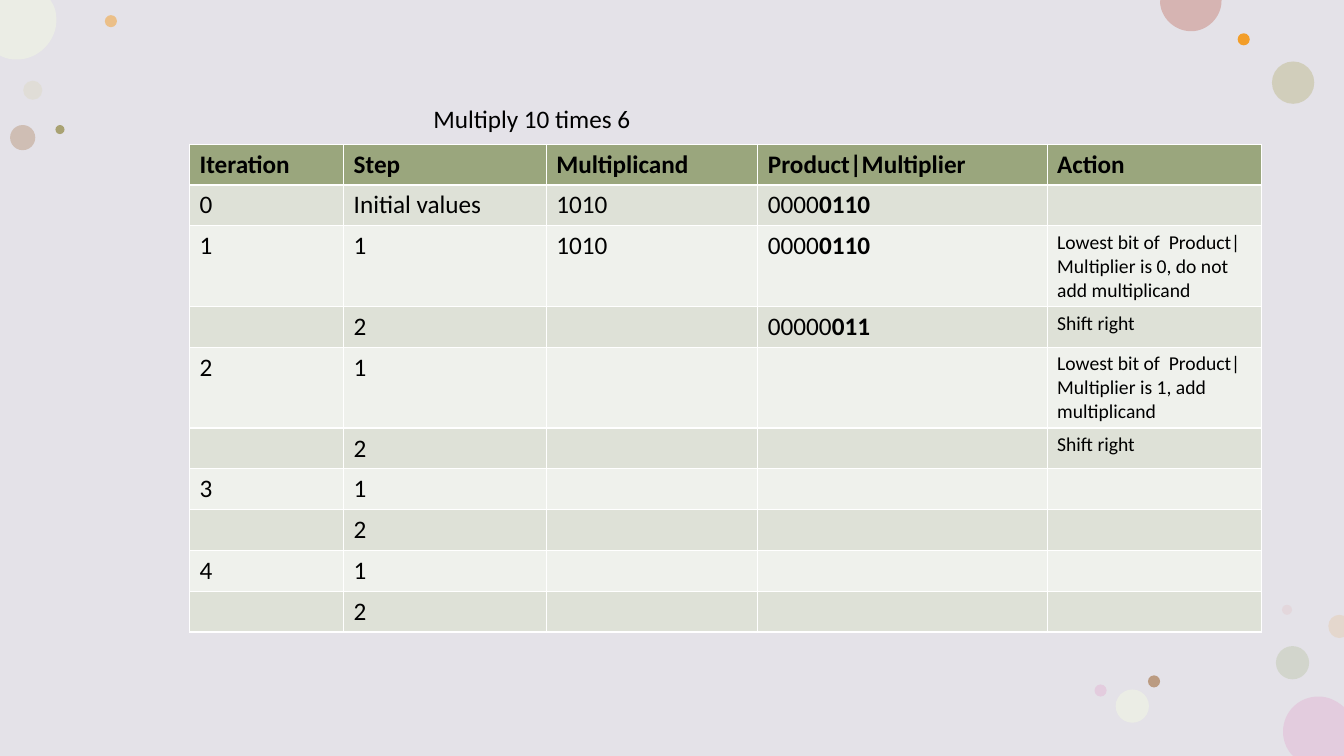
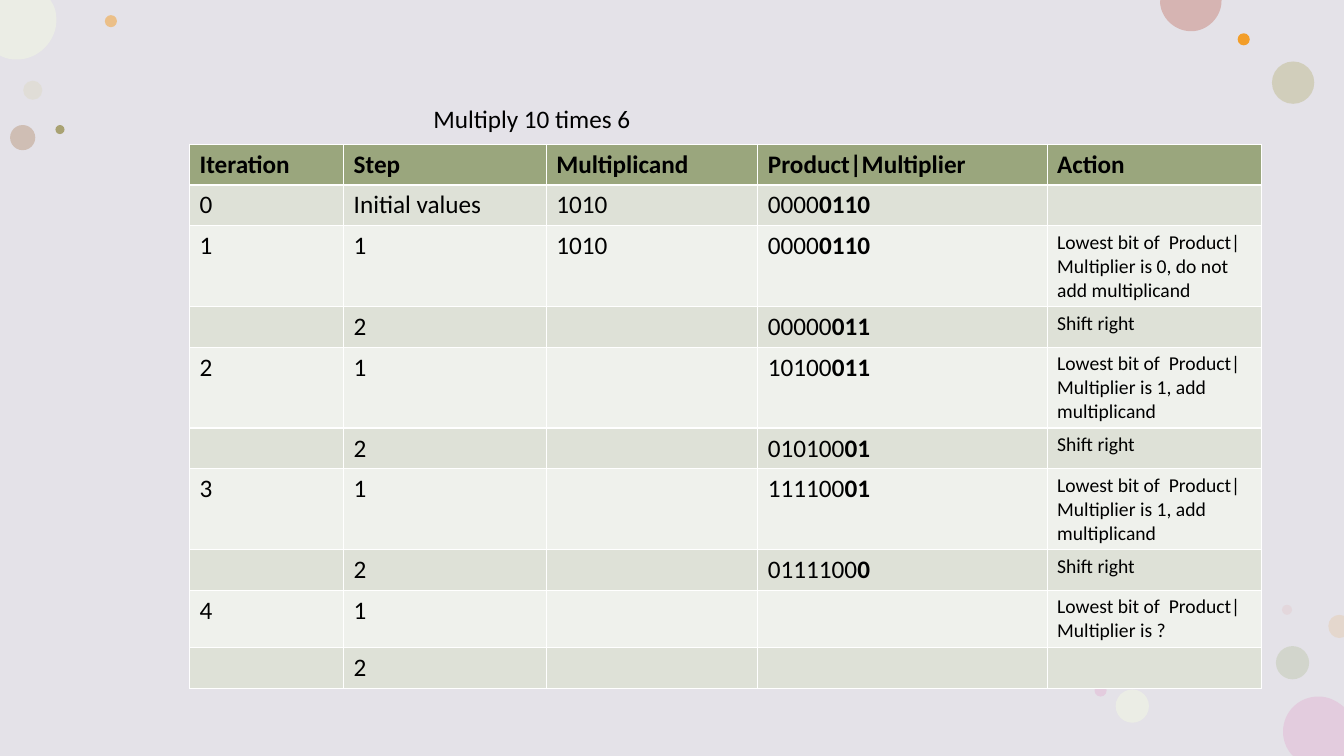
from dataclasses import dataclass
from itertools import zip_longest

from lxml import etree
from pptx import Presentation
from pptx.dml.color import RGBColor
from pptx.enum.shapes import MSO_SHAPE
from pptx.enum.text import MSO_ANCHOR, MSO_AUTO_SIZE, PP_ALIGN
from pptx.oxml.ns import qn
from pptx.util import Pt

OVAL = MSO_SHAPE.OVAL
RECTANGLE = MSO_SHAPE.RECTANGLE
TOP = MSO_ANCHOR.TOP
FIT_SHAPE = MSO_AUTO_SIZE.SHAPE_TO_FIT_TEXT
LEFT = PP_ALIGN.LEFT

PX = 4572  # EMU in one px, 200 px to the inch
SLIDE_WIDTH, SLIDE_HEIGHT = 2667, 1500
TITLE_ONLY = 5


@dataclass(frozen=True)
class Theme:
    font: str = "Calibri"
    text: str = "000000"
    backdrop: str = "E4E2E8"
    header: str = "9AA67D"
    bands: tuple = ("DEE1D7", "EFF1EC")
    body_size: int = 18
    note_size: int = 14


THEME = Theme()

# Whole bubbles: left, top, diameter, colour, opacity in percent
BUBBLES = [
    (46, 160, 38, "DDDAC7", 50),
    (208, 30, 24, "F39E29", 50),
    (2532, 1282, 66, "C2CAB1", 50),
    (20, 248, 50, "BB9B81", 50),
    (2524, 122, 84, "CBC7AB", 72),
    (2456, 66, 24, "F39E29", 100),
    (2544, 1200, 20, "E3BEBE", 28),
    (2278, 1340, 24, "BB9B81", 100),
    (2214, 1368, 66, "EBEDE5", 100),
    (2172, 1358, 24, "E3CCDE", 100),
    (110, 248, 18, "A9A273", 100),
]
# Bubbles cut by the slide edge: colour, start, then segments
# (two numbers make a line, six make a curve)
EDGE_BUBBLES = [
    ("E3CCDE", (2616, 1382), [
        (2636, 1382, 2652, 1390, 2667, 1403), (2667, 1500), (2566, 1500),
        (2562, 1496), (2552, 1484, 2546, 1468, 2546, 1452),
        (2546, 1412, 2578, 1382, 2616, 1382)]),
    ("EBEDE5", (0, 0), [
        (100, 0), (106, 10), (110, 18, 112, 28, 112, 40),
        (112, 82, 76, 118, 34, 118), (22, 118, 12, 116, 4, 112), (0, 110)]),
    ("D6B4B2", (2303, 0), [
        (2424, 0), (2424, 2), (2424, 34, 2396, 62, 2364, 62),
        (2330, 62, 2302, 34, 2302, 2)]),
    ("E4D7CD", (2658, 1220), [
        (2667, 1222), (2667, 1264), (2658, 1266),
        (2646, 1266, 2636, 1256, 2636, 1242),
        (2636, 1230, 2646, 1220, 2658, 1220)]),
]

# Table content
TITLE = "Multiply 10 times 6"
HEADINGS = ["Iteration", "Step", "Multiplicand", "Product|Multiplier", "Action"]
COLUMN_WIDTHS = [306, 402, 420, 574, 426]
ROW_HEIGHT = 81
STEPS = [("0", "Initial values")] + [
    (str(iteration) if step == 1 else "", str(step))
    for iteration in range(1, 5) for step in (1, 2)
]
MULTIPLICANDS = ["1010", "1010"]
# Product bits, then the multiplier bits that are left
PRODUCTS = [
    ("0000", "0110"), ("0000", "0110"), ("00000", "011"), ("10100", "011"),
    ("010100", "01"), ("111100", "01"), ("0111100", "0"),
]
SKIP = "Lowest bit of  Product|Multiplier is 0, do not add multiplicand"
ADD = "Lowest bit of  Product|Multiplier is 1, add multiplicand"
ASK = "Lowest bit of  Product|Multiplier is ?"
SHIFT = "Shift right"
ACTIONS = ["", SKIP, SHIFT, ADD, SHIFT, ADD, SHIFT, ASK]
# Products worked out, actions worked out, table height
STAGES = [(3, 5, 968), (len(PRODUCTS), len(ACTIONS), 1080)]


def color(value):
    return RGBColor.from_string(value)


def paint(shape, value, opacity=100):
    shape.shadow.inherit = False
    shape.line.fill.background()
    shape.fill.solid()
    shape.fill.fore_color.rgb = color(value)
    if opacity < 100:
        tint = shape.element.spPr.find(".//" + qn("a:srgbClr"))
        etree.SubElement(tint, qn("a:alpha"), val=str(opacity * 1000))


def add_run(paragraph, text, size=THEME.body_size, bold=False):
    run = paragraph.add_run()
    run.text = text
    run.font.name = THEME.font
    run.font.size = Pt(size)
    run.font.bold = bold
    run.font.color.rgb = color(THEME.text)


def add_edge_bubble(shapes, value, start, segments):
    """Build the outline from segment ends, then bend the curved segments."""
    builder = shapes.build_freeform(*start, scale=PX)
    builder.add_line_segments([segment[-2:] for segment in segments], close=True)
    shape = builder.convert_to_shape()
    paint(shape, value)
    left, top = shape.left // PX, shape.top // PX
    for line, segment in zip(list(shape.element.iter(qn("a:lnTo"))), segments):
        if len(segment) == 6:
            curve = etree.Element(qn("a:cubicBezTo"))
            for x, y in zip(segment[::2], segment[1::2]):
                etree.SubElement(curve, qn("a:pt"), x=str(x - left), y=str(y - top))
            line.getparent().replace(line, curve)


def decorate(layout, slide):
    """Draw the backdrop and bubbles on a slide, then hand them to its layout."""
    backdrop = slide.shapes.add_shape(
        RECTANGLE, 0, 0, SLIDE_WIDTH * PX, SLIDE_HEIGHT * PX)
    paint(backdrop, THEME.backdrop)
    group = slide.shapes.add_group_shape()
    for left, top, diameter, value, opacity in BUBBLES:
        bubble = group.shapes.add_shape(
            OVAL, left * PX, top * PX, diameter * PX, diameter * PX)
        paint(bubble, value, opacity)
    for edge_bubble in EDGE_BUBBLES:
        add_edge_bubble(group.shapes, *edge_bubble)
    # Behind the layout's own shapes, with ids that stay unique among them
    for index, shape in enumerate((backdrop, group)):
        first_id = 100 * (index + 1)
        for number, properties in enumerate(shape.element.iter(qn("p:cNvPr")), first_id):
            properties.set("id", str(number))
        layout.shapes.element.insert(2 + index, shape.element)


def add_title(slide):
    title = slide.shapes.title
    title.left, title.top = 840 * PX, 194 * PX
    title.width, title.height = 436 * PX, 80 * PX
    frame = title.text_frame
    frame.word_wrap = False
    frame.auto_size = FIT_SHAPE
    frame.vertical_anchor = TOP
    frame.paragraphs[0].alignment = LEFT
    add_run(frame.paragraphs[0], TITLE)


def fill_row(table, row, cells, fill):
    """Write one row; each cell is a list of (text, size, bold) runs."""
    for column, runs in enumerate(cells):
        cell = table.cell(row, column)
        cell.fill.solid()
        cell.fill.fore_color.rgb = color(fill)
        for text, size, bold in runs:
            if text:
                add_run(cell.text_frame.paragraphs[0], text, size, bold)


def add_steps_table(slide, products, actions, height):
    # The table style draws the white rules; rows grow with their text
    frame = slide.shapes.add_table(
        len(STEPS) + 1, len(HEADINGS), 376 * PX, 286 * PX,
        sum(COLUMN_WIDTHS) * PX, height * PX)
    table = frame.table
    for column, width in zip(table.columns, COLUMN_WIDTHS):
        column.width = width * PX
    for row in table.rows:
        row.height = ROW_HEIGHT * PX
    frame.height = height * PX

    size = THEME.body_size
    fill_row(table, 0, [[(heading, size, True)] for heading in HEADINGS], THEME.header)
    records = zip_longest(STEPS, MULTIPLICANDS, products, actions)
    for row, (labels, multiplicand, product, action) in enumerate(records, 1):
        done, remaining = product or ("", "")
        cells = [[(text, size, False)] for text in (*labels, multiplicand)]
        cells.append([(done, size, False), (remaining, size, True)])
        cells.append([(action, THEME.note_size, False)])
        fill_row(table, row, cells, THEME.bands[(row - 1) % 2])


def main():
    presentation = Presentation()
    presentation.slide_width = SLIDE_WIDTH * PX
    presentation.slide_height = SLIDE_HEIGHT * PX
    layout = presentation.slide_layouts[TITLE_ONLY]
    for product_count, action_count, height in STAGES:
        slide = presentation.slides.add_slide(layout)
        if len(presentation.slides) == 1:
            decorate(layout, slide)
        add_title(slide)
        add_steps_table(
            slide, PRODUCTS[:product_count], ACTIONS[:action_count], height)
    presentation.save("out.pptx")


if __name__ == "__main__":
    main()
